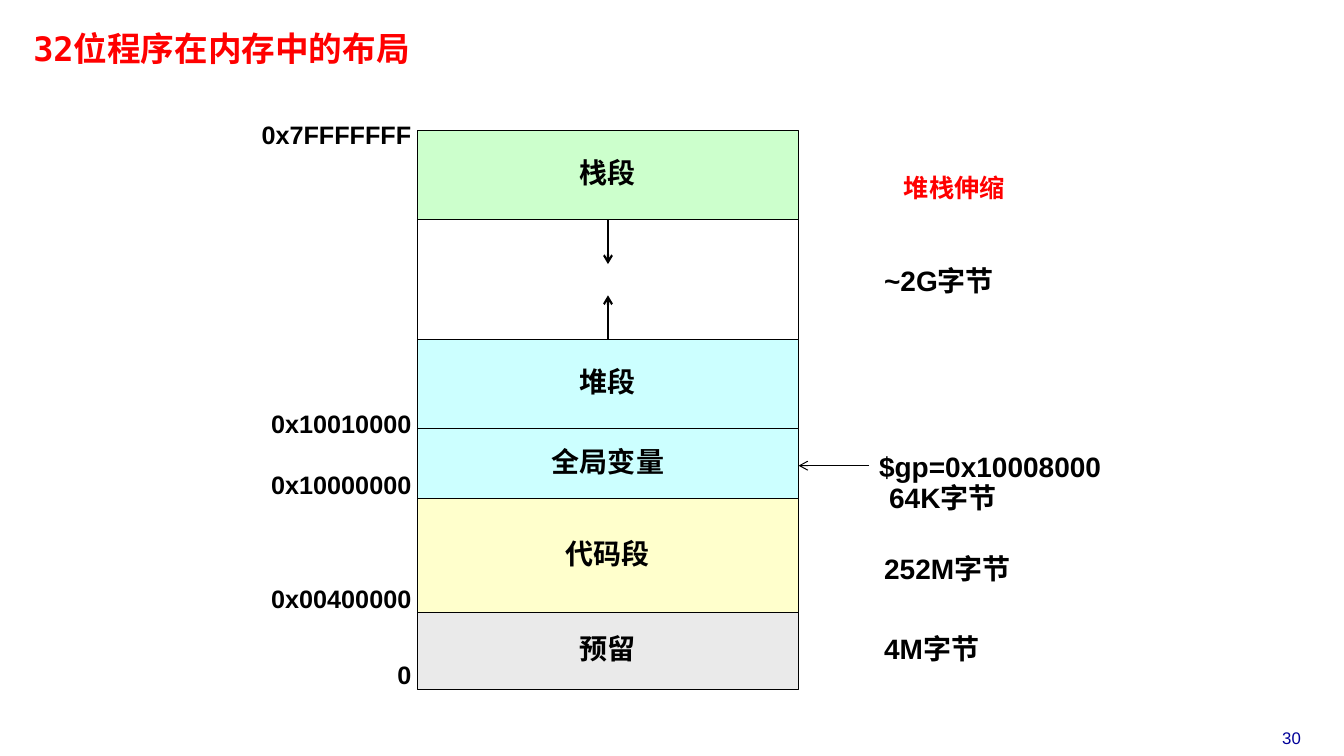
from lxml import etree
from pptx import Presentation
from pptx.dml.color import RGBColor
from pptx.enum.shapes import MSO_CONNECTOR, MSO_SHAPE
from pptx.enum.text import MSO_ANCHOR, PP_ALIGN
from pptx.oxml.ns import qn
from pptx.util import Inches, Pt

LEFT, CENTER, RIGHT = PP_ALIGN.LEFT, PP_ALIGN.CENTER, PP_ALIGN.RIGHT
TOP, MIDDLE = MSO_ANCHOR.TOP, MSO_ANCHOR.MIDDLE
RECTANGLE, STRAIGHT = MSO_SHAPE.RECTANGLE, MSO_CONNECTOR.STRAIGHT

BLACK = RGBColor(0x00, 0x00, 0x00)
RED = RGBColor(0xFF, 0x00, 0x00)
NAVY = RGBColor(0x00, 0x00, 0x99)
GREEN = RGBColor(0xCC, 0xFF, 0xCC)
CYAN = RGBColor(0xCC, 0xFF, 0xFF)
YELLOW = RGBColor(0xFF, 0xFF, 0xCC)
GREY = RGBColor(0xEA, 0xEA, 0xEA)

TITLE = "32位程序在内存中的布局"
PAGE_NUMBER = "30"
GROWTH_NOTE = "堆栈伸缩"

# Memory segments from high to low addresses: name, fill, top edge
SEGMENTS = [
    ("栈段", GREEN, 1.29),
    ("", None, 2.18),
    ("堆段", CYAN, 3.37),
    ("全局变量", CYAN, 4.25),
    ("代码段", YELLOW, 4.95),
    ("预留", GREY, 6.08),
]
MEMORY_LEFT, MEMORY_WIDTH, MEMORY_BOTTOM = 4.14, 3.78, 6.84

# Address, top of its label
ADDRESSES = [
    ("0x7FFFFFFF", 1.23),
    ("0x10010000", 4.1),
    ("0x10000000", 4.7),
    ("0x00400000", 5.83),
    ("0", 6.59),
]
# Size or pointer, left, top, width
SIZES = [
    ("~2G字节", 8.67, 2.62, 1.41),
    ("$gp=0x10008000", 8.62, 4.46, 2.56),
    ("64K字节", 8.72, 4.77, 1.41),
    ("252M字节", 8.67, 5.47, 1.71),
    ("4M字节", 8.67, 6.27, 1.41),
]
GROWTH_LENGTH = 0.44
POINTER_Y, POINTER_START = 4.62, 8.62


def write(shape, text, size, color=BLACK, align=LEFT, anchor=TOP,
          margins=(0, 0), spacing=0.85, bold=True, font="Arial"):
    frame = shape.text_frame
    frame.text = text
    frame.word_wrap = True
    frame.vertical_anchor = anchor
    frame.margin_left = frame.margin_right = Inches(margins[0])
    frame.margin_top = frame.margin_bottom = Inches(margins[1])
    paragraph = frame.paragraphs[0]
    paragraph.alignment = align
    paragraph.line_spacing = spacing
    paragraph.space_before = Pt(0)
    run_font = paragraph.runs[0].font
    run_font.name, run_font.size, run_font.bold = font, Pt(size), bold
    run_font.color.rgb = color


def add_label(slide, box, text, size, **style):
    label = slide.shapes.add_textbox(*map(Inches, box))
    write(label, text, size, **style)


def add_arrow(slide, start, end, width):
    arrow = slide.shapes.add_connector(STRAIGHT, *map(Inches, start + end))
    arrow.line.color.rgb = BLACK
    arrow.line.width = Pt(width)
    etree.SubElement(arrow.line._get_or_add_ln(), qn("a:tailEnd"), type="arrow")
    etree.SubElement(arrow._element.spPr, qn("a:effectLst"))


def add_segment(slide, name, fill, top, bottom):
    box = (MEMORY_LEFT, top, MEMORY_WIDTH, bottom - top)
    segment = slide.shapes.add_shape(RECTANGLE, *map(Inches, box))
    segment.shadow.inherit = False
    segment.line.color.rgb = BLACK
    segment.line.width = Pt(0.75)
    if fill is None:
        segment.fill.background()
    else:
        segment.fill.solid()
        segment.fill.fore_color.rgb = fill
    if name:
        write(segment, name, 20, align=CENTER, anchor=MIDDLE)


def main():
    prs = Presentation()
    prs.slide_width, prs.slide_height = Inches(13.33), Inches(7.5)
    slide = prs.slides.add_slide(prs.slide_layouts[5])

    title = slide.shapes.title
    title.left, title.top = Inches(0.26), Inches(0.3)
    title.width, title.height = Inches(7.67), Inches(0.41)
    write(title, TITLE, 24, color=RED, margins=(0.07, 0.03), spacing=0.87,
          font="DejaVu Sans Mono")

    tops = [top for _, _, top in SEGMENTS]
    for (name, fill, top), bottom in zip(SEGMENTS, tops[1:] + [MEMORY_BOTTOM]):
        add_segment(slide, name, fill, top, bottom)

    for address, top in ADDRESSES:
        add_label(slide, (2.38, top, 1.7, 0.31), address, 18, align=RIGHT)
    for text, left, top, width in SIZES:
        add_label(slide, (left, top, width, 0.39), text, 20, margins=(0.1, 0.05))
    add_label(slide, (8.55, 1.36, 1.83, 0.94), GROWTH_NOTE, 18, color=RED,
              align=CENTER, anchor=MIDDLE, spacing=1.2)
    add_label(slide, (12.34, 7.17, 0.94, 0.3), PAGE_NUMBER, 12, color=NAVY,
              align=CENTER, margins=(0.1, 0.05), spacing=1.0, bold=False)

    middle = MEMORY_LEFT + MEMORY_WIDTH / 2
    stack_end, heap_start = tops[1], tops[2]
    add_arrow(slide, (middle, stack_end), (middle, stack_end + GROWTH_LENGTH), 1.5)
    add_arrow(slide, (middle, heap_start), (middle, heap_start - GROWTH_LENGTH), 1.5)
    add_arrow(slide, (POINTER_START, POINTER_Y),
              (MEMORY_LEFT + MEMORY_WIDTH, POINTER_Y), 0.75)

    prs.save("out.pptx")


if __name__ == "__main__":
    main()
